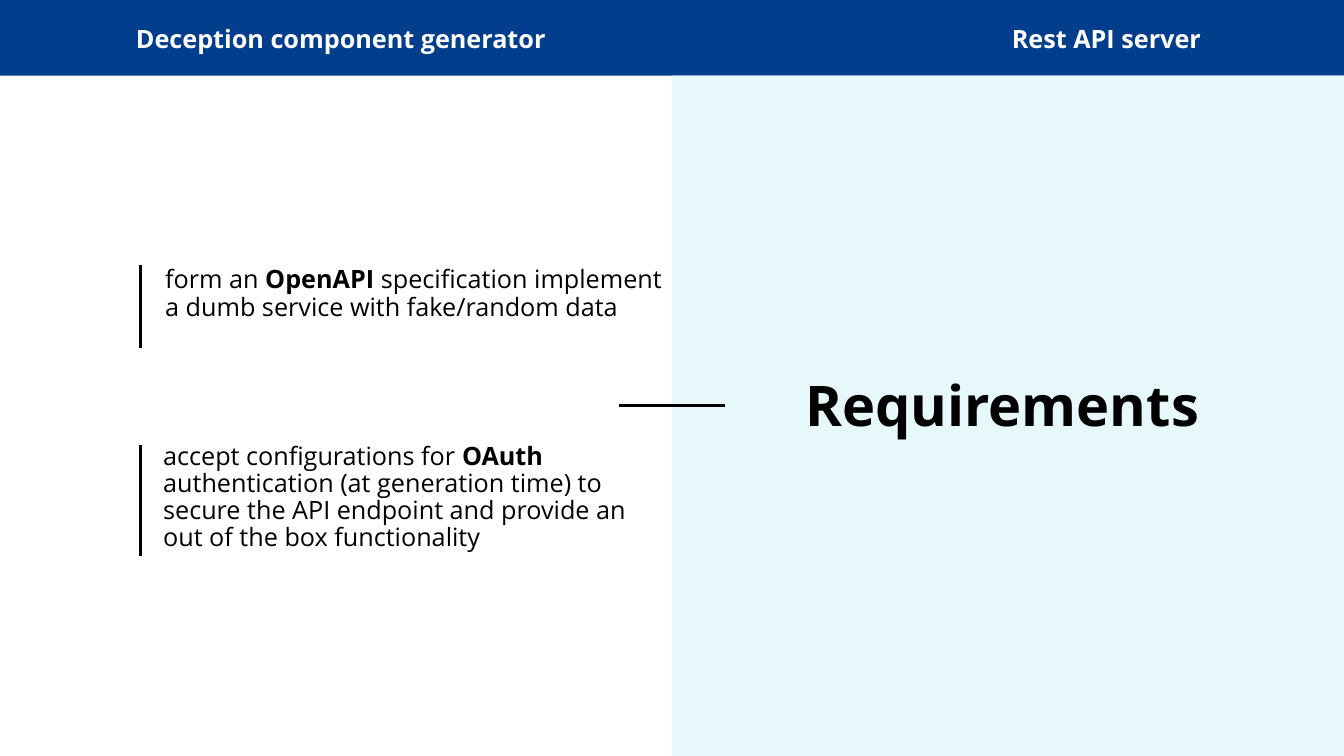
from lxml.etree import SubElement
from pptx import Presentation
from pptx.dml.color import RGBColor
from pptx.enum.shapes import MSO_CONNECTOR, MSO_SHAPE
from pptx.enum.text import MSO_ANCHOR, PP_ALIGN
from pptx.oxml.ns import qn
from pptx.util import Inches, Pt

BLUE = RGBColor(0x03, 0x3E, 0x8C)
PALE = RGBColor(0xE6, 0xF8, 0xFA)
WHITE = RGBColor(0xFF, 0xFF, 0xFF)
BLACK = RGBColor(0x00, 0x00, 0x00)
WIDE, HIGH, BAR = 13.33, 7.5, 0.75


class Page:
    """Holds the style and the current slide."""

    font = "Open Sans"
    weight = Pt(2.25)

    def __init__(self, slide):
        self.slide = slide

    def rect(self, x, y, w, h, fill):
        box = self.slide.shapes.add_shape(
            MSO_SHAPE.RECTANGLE, Inches(x), Inches(y), Inches(w), Inches(h))
        box.shadow.inherit = False
        box.fill.solid()
        box.fill.fore_color.rgb = fill
        box.line.fill.background()

    def line(self, x1, y1, x2, y2):
        rule = self.slide.shapes.add_connector(
            MSO_CONNECTOR.STRAIGHT, Inches(x1), Inches(y1), Inches(x2), Inches(y2))
        rule.line.color.rgb = BLACK
        rule.line.width = self.weight
        SubElement(rule.element.spPr, qn("a:effectLst"))

    def text(self, parts, x, y, w, h, size=18, color=BLACK,
             align=PP_ALIGN.LEFT, space=0.9):
        """Write (words, bold) parts as one paragraph."""
        box = self.slide.shapes.add_textbox(
            Inches(x), Inches(y), Inches(w), Inches(h))
        frame = box.text_frame
        frame.word_wrap = True
        frame.vertical_anchor = MSO_ANCHOR.TOP
        para = frame.paragraphs[0]
        para.alignment = align
        para.line_spacing = space
        for words, bold in parts:
            run = para.add_run()
            run.text = words
            run.font.name = self.font
            run.font.size = Pt(size)
            run.font.bold = bold
            run.font.color.rgb = color


def main():
    deck = Presentation()
    deck.slide_width, deck.slide_height = Inches(WIDE), Inches(HIGH)
    page = Page(deck.slides.add_slide(deck.slide_layouts[6]))

    # Header bar
    page.rect(0, 0, WIDE, BAR, BLUE)
    for words, x, w, align in (
            ("Deception component generator", 1.25, 4.99, PP_ALIGN.LEFT),
            ("Rest API server", 9.42, 2.59, PP_ALIGN.RIGHT)):
        page.text([(words, True)], x, 0.18, w, 0.4,
                  color=WHITE, align=align, space=1.0)

    # Right panel with title
    page.rect(WIDE / 2, BAR, WIDE / 2, HIGH - BAR, PALE)
    page.line(6.14, 4.02, 7.19, 4.02)
    page.text([("Requirements", True)], 7.89, 3.7, 4.75, 0.64, size=40)

    # Requirements, each beside a vertical rule
    page.text([("form an ", False), ("OpenAPI", True),
               (" specification implement a dumb service with "
                "fake/random data", False)], 1.54, 2.6, 5.13, 0.88)
    page.text([("accept configurations for ", False), ("OAuth", True),
               (" authentication (at generation time) to secure the API "
                "endpoint and provide an out of the box functionality", False)],
              1.52, 4.35, 4.9, 1.24)
    for top, end in ((2.63, 3.45), (4.41, 5.52)):
        page.line(1.39, top, 1.39, end)

    deck.save("out.pptx")


if __name__ == "__main__":
    main()
